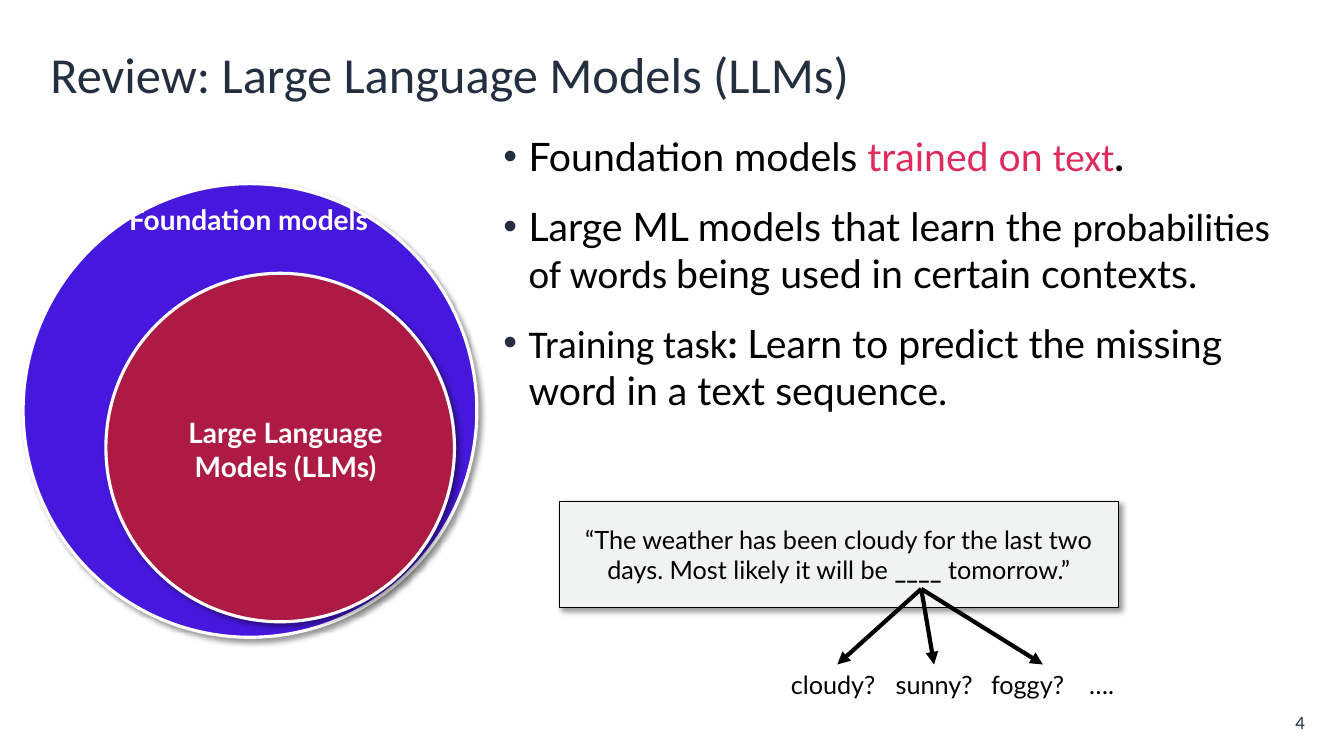
from dataclasses import dataclass

from lxml.etree import SubElement
from pptx import Presentation
from pptx.dml.color import RGBColor
from pptx.enum.shapes import MSO_CONNECTOR, MSO_SHAPE
from pptx.enum.text import MSO_ANCHOR, MSO_AUTO_SIZE, PP_ALIGN
from pptx.oxml import parse_xml
from pptx.oxml.ns import nsdecls, qn
from pptx.util import Inches, Pt


@dataclass(frozen=True)
class Theme:
    heading: str = "Calibri"
    text: str = "Lato"
    navy: str = "232F3E"
    black: str = "000000"
    white: str = "FFFFFF"
    pink: str = "DF2A5D"
    violet: str = "4618DD"
    crimson: str = "AD1A43"
    pale: str = "F1F3F3"
    title_size: int = 36
    bullet_size: int = 28
    circle_size: int = 20
    example_size: int = 18
    number_size: int = 12


THEME = Theme()

# Content. All places are percentages of the slide's width and height.
TITLE = "Review: Large Language Models (LLMs)"
PAGE_NUMBER = "4"
PLAIN = (THEME.text, THEME.black, False)
STRONG = (THEME.text, THEME.black, True)
TERM = (THEME.heading, THEME.black, False)
BULLETS = [
    [("Foundation models ", PLAIN),
     ("trained on ", (THEME.text, THEME.pink, False)),
     ("text", (THEME.heading, THEME.pink, False)),
     (".", STRONG)],
    [("Large ML models that learn the ", PLAIN),
     ("probabilities of words ", TERM),
     ("being used in certain contexts.", PLAIN)],
    [("Training task", TERM),
     (": ", STRONG),
     ("Learn to predict the missing word in a text sequence.", PLAIN)],
]
# label, fill, circle centre, diameter (share of height), label box
CIRCLES = [
    ("Foundation models", THEME.violet, (18.6, 54.3), 60, (8.8, 26.1, 19.4, 5.9)),
    ("Large Language Models (LLMs)", THEME.crimson, (20.85, 59.2), 46.1,
     (12.8, 54.3, 16.9, 10.3)),
]
SENTENCE = [
    ("“The weather has been cloudy for the last two days. Most likely it will be ", PLAIN),
    ("____", STRONG),
    (" tomorrow.”", PLAIN),
]
BLANK = (68.55, 77.9)
GUESS_TOP = 87.9
# guess, left edge, arrow tip
GUESSES = [("cloudy?", 58.1, 62.3), ("sunny?", 65.9, 69.5),
           ("foggy?", 73, 77.6), ("….", 80.3, None)]

prs = Presentation()
prs.slide_width, prs.slide_height = Inches(13.33), Inches(7.5)
slide = prs.slides.add_slide(prs.slide_layouts[1])


def across(share):
    return int(prs.slide_width * share / 100)


def down(share):
    return int(prs.slide_height * share / 100)


def box(left, top, width, height):
    return across(left), down(top), across(width), down(height)


def place(shape, *area):
    shape.left, shape.top, shape.width, shape.height = box(*area)


def style(font, face, color, bold=False, size=None):
    font.name, font.bold = face, bold
    font.color.rgb = RGBColor.from_string(color)
    if size:
        font.size = Pt(size)


def add_runs(paragraph, runs, size):
    paragraph.font.size = Pt(size)
    for words, look in runs:
        run = paragraph.add_run()
        run.text = words
        style(run.font, *look)


def add_label(words, area, size, color, bold=False, align=PP_ALIGN.LEFT):
    frame = slide.shapes.add_textbox(*box(*area)).text_frame
    frame.word_wrap = True
    paragraph = frame.paragraphs[0]
    paragraph.text, paragraph.alignment = words, align
    style(paragraph.font, THEME.text, color, bold, size)
    return frame


def add_raised(kind, area, fill, line, line_width):
    """Add a filled, outlined shape with a soft shadow to the lower right."""
    shape = slide.shapes.add_shape(kind, *area)
    shape.fill.solid()
    shape.fill.fore_color.rgb = RGBColor.from_string(fill)
    shape.line.color.rgb = RGBColor.from_string(line)
    shape.line.width = Pt(line_width)
    shape.shadow.inherit = False
    effects = shape.element.spPr.find(qn("a:effectLst"))
    effects.append(parse_xml(
        f'<a:outerShdw {nsdecls("a")} blurRad="{Pt(4)}" dist="{Pt(3)}" dir="2700000" '
        f'algn="tl" rotWithShape="0"><a:srgbClr val="{THEME.black}">'
        '<a:alpha val="40000"/></a:srgbClr></a:outerShdw>'))
    return shape


def add_bullet(paragraph):
    props = paragraph._p.get_or_add_pPr()
    props.set("marL", str(Inches(0.25)))
    props.set("indent", str(-Inches(0.25)))
    SubElement(SubElement(props, qn("a:buClr")), qn("a:srgbClr")).set("val", THEME.navy)
    SubElement(props, qn("a:buFont")).set("typeface", "Arial")
    SubElement(props, qn("a:buChar")).set("char", "•")


def add_arrow(start, end):
    arrow = slide.shapes.add_connector(
        MSO_CONNECTOR.STRAIGHT, across(start[0]), down(start[1]), across(end[0]), down(end[1]))
    arrow.line.color.rgb = RGBColor.from_string(THEME.black)
    arrow.line.width = Pt(3)
    SubElement(arrow.line._get_or_add_ln(), qn("a:tailEnd")).set("type", "triangle")
    SubElement(arrow._element.spPr, qn("a:effectLst"))


def build_text():
    title, body = slide.shapes.title, slide.placeholders[1]
    place(title, 3, 4.4, 94.1, 10.7)
    title.text_frame.text = TITLE
    title.text_frame.auto_size = MSO_AUTO_SIZE.NONE
    title.text_frame.vertical_anchor = MSO_ANCHOR.MIDDLE
    heading = title.text_frame.paragraphs[0]
    heading.alignment = PP_ALIGN.LEFT
    style(heading.font, THEME.heading, THEME.navy, size=THEME.title_size)

    place(body, 36.7, 16.9, 60.4, 46.5)
    frame = body.text_frame
    frame.auto_size = MSO_AUTO_SIZE.NONE
    for index, runs in enumerate(BULLETS):
        paragraph = frame.add_paragraph() if index else frame.paragraphs[0]
        paragraph.space_before = Pt(10 if index else 0)
        paragraph.space_after = Pt(6)
        add_bullet(paragraph)
        add_runs(paragraph, runs, THEME.bullet_size)

    number = add_label(PAGE_NUMBER, (93.1, 94, 4, 3.3), THEME.number_size, THEME.navy,
                       align=PP_ALIGN.RIGHT)
    number.margin_left = number.margin_right = number.margin_top = number.margin_bottom = 0
    number.vertical_anchor = MSO_ANCHOR.MIDDLE


def build_circles():
    for label, fill, (x, y), diameter, label_area in CIRCLES:
        side = down(diameter)
        area = (across(x) - side // 2, down(y) - side // 2, side, side)
        add_raised(MSO_SHAPE.OVAL, area, fill, THEME.white, 2.25)
        add_label(label, label_area, THEME.circle_size, THEME.white, True, PP_ALIGN.CENTER)


def build_example():
    quote = add_raised(MSO_SHAPE.RECTANGLE, box(41.6, 66.3, 41.6, 14.1),
                       THEME.pale, THEME.black, 0.85)
    quote.text_frame.word_wrap = True
    quote.text_frame.vertical_anchor = MSO_ANCHOR.MIDDLE
    sentence = quote.text_frame.paragraphs[0]
    sentence.alignment = PP_ALIGN.CENTER
    add_runs(sentence, SENTENCE, THEME.example_size)
    for guess, left, tip in GUESSES:
        if tip:
            add_arrow(BLANK, (tip, GUESS_TOP))
        add_label(guess, (left, GUESS_TOP, 9, 5.3), THEME.example_size, THEME.black)


if __name__ == "__main__":
    build_text()
    build_circles()
    build_example()
    prs.save("out.pptx")
